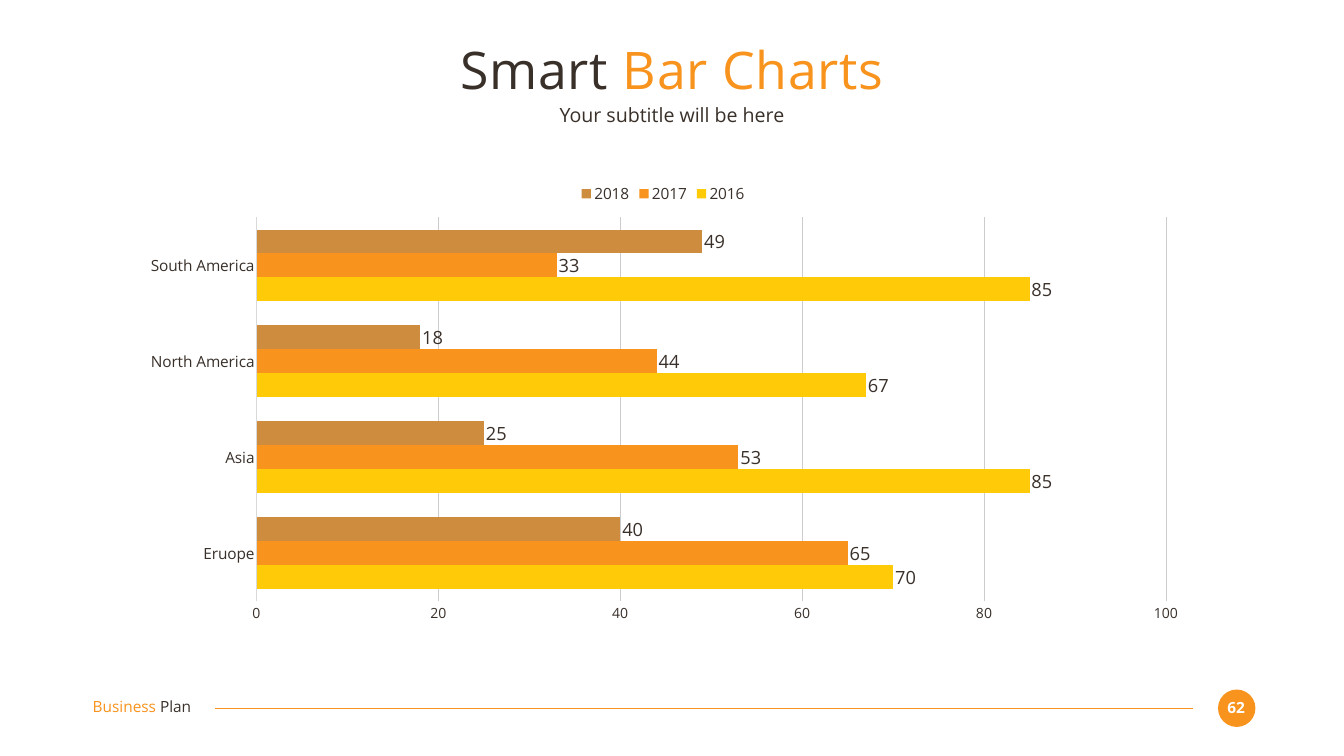
"""Build the Smart Bar Charts slide with a clustered bar chart by region and year."""
from lxml import etree
from pptx import Presentation
from pptx.chart.data import CategoryChartData
from pptx.dml.color import RGBColor
from pptx.enum.chart import XL_CHART_TYPE, XL_LABEL_POSITION, XL_LEGEND_POSITION, XL_TICK_MARK
from pptx.enum.shapes import MSO_CONNECTOR, MSO_SHAPE
from pptx.enum.text import MSO_ANCHOR, MSO_AUTO_SIZE, PP_ALIGN
from pptx.oxml import parse_xml
from pptx.oxml.ns import nsdecls, qn
from pptx.util import Pt

BAR_CLUSTERED = XL_CHART_TYPE.BAR_CLUSTERED
OUTSIDE_END = XL_LABEL_POSITION.OUTSIDE_END
LEGEND_TOP = XL_LEGEND_POSITION.TOP
NO_TICK = XL_TICK_MARK.NONE
STRAIGHT = MSO_CONNECTOR.STRAIGHT
OVAL = MSO_SHAPE.OVAL
TOP, MIDDLE = MSO_ANCHOR.TOP, MSO_ANCHOR.MIDDLE
NO_AUTO_SIZE = MSO_AUTO_SIZE.NONE
LEFT, CENTER = PP_ALIGN.LEFT, PP_ALIGN.CENTER

FONT = "Open Sans"
COLORS = {
    "orange": "F8931D",
    "dark": "39302A",
    "white": "FFFFFF",
    "yellow": "FFCA08",
    "brown": "CE8D3E",
    "axis": "D9D9D9",
    "grid": "CCCCCC",
}


def format_font(font, size, color="dark", bold=False):
    font.name = FONT
    font.size = Pt(size)
    font.bold = bold
    font.color.rgb = RGBColor.from_string(COLORS[color])


def write_text(shape, runs, *, box, size, align=LEFT, anchor=TOP, bold=False, spacing=0):
    shape.left, shape.top, shape.width, shape.height = (Pt(length) for length in box)
    frame = shape.text_frame
    frame.word_wrap = True
    frame.auto_size = NO_AUTO_SIZE
    frame.vertical_anchor = anchor
    frame.margin_left = frame.margin_right = frame.margin_top = frame.margin_bottom = 0
    paragraph = frame.paragraphs[0]
    properties = paragraph._p.get_or_add_pPr()
    properties.set("marL", "0")
    properties.set("indent", "0")
    etree.SubElement(properties, qn("a:buNone"))
    paragraph.alignment = align
    paragraph.space_before = Pt(0)
    for text, color in runs:
        run = paragraph.add_run()
        run.text = text
        format_font(run.font, size, color, bold)
        if spacing:
            run._r.get_or_add_rPr().set("spc", str(spacing * 100))


presentation = Presentation()
presentation.slide_width = Pt(1920)
presentation.slide_height = Pt(1080)
slide = presentation.slides.add_slide(presentation.slide_layouts[1])
shapes = slide.shapes

write_text(shapes.title, [("Smart ", "dark"), ("Bar Charts", "orange")],
           box=(132, 52.5, 1656, 91.5), size=74, align=CENTER, anchor=MIDDLE, spacing=1)
write_text(slide.placeholders[1], [("Your subtitle will be here", "dark")],
           box=(132, 146, 1656, 35.5), size=28, align=CENTER, anchor=MIDDLE)

chart_data = CategoryChartData()
chart_data.categories = ["Eruope", "Asia", "North America", "South America"]
chart_data.add_series("2016", (70, 85, 67, 85))
chart_data.add_series("2017", (65, 53, 44, 33))
chart_data.add_series("2018", (40, 25, 18, 49))
chart = shapes.add_chart(BAR_CLUSTERED, Pt(183), Pt(252.5), Pt(1528.5), Pt(645), chart_data).chart
format_font(chart.font, 22)
chart.has_title = False
chart.has_legend = True
chart.legend.position = LEGEND_TOP
chart.legend.include_in_layout = False
format_font(chart.legend.font, 22)

plot = chart.plots[0]
plot.gap_width = 102
plot.overlap = 0
plot.vary_by_categories = False
for series, color in zip(plot.series, ("yellow", "orange", "brown")):
    series.format.fill.solid()
    series.format.fill.fore_color.rgb = RGBColor.from_string(COLORS[color])
    labels = series.data_labels
    labels.show_value = True
    labels.position = OUTSIDE_END
    format_font(labels.font, 26)

category_axis, value_axis = chart.category_axis, chart.value_axis
for axis, size in ((category_axis, 22), (value_axis, 20)):
    axis.major_tick_mark = axis.minor_tick_mark = NO_TICK
    format_font(axis.tick_labels.font, size)
category_axis.format.line.color.rgb = RGBColor.from_string(COLORS["axis"])
category_axis.format.line.width = Pt(0.75)
value_axis.minimum_scale = 0
value_axis.maximum_scale = 100
value_axis.major_unit = 20
value_axis.format.line.fill.background()
gridline = value_axis.major_gridlines.format.line
gridline.color.rgb = RGBColor.from_string(COLORS["grid"])
gridline.width = Pt(1)

plot_area = chart._chartSpace.find(".//" + qn("c:plotArea"))
plot_area.insert(0, parse_xml(
    f'<c:layout {nsdecls("c")}><c:manualLayout><c:layoutTarget val="inner"/>'
    '<c:xMode val="edge"/><c:yMode val="edge"/><c:x val="0.12"/><c:y val="0.09"/>'
    '<c:w val="0.85"/><c:h val="0.85"/></c:manualLayout></c:layout>'))

footer_line = shapes.add_connector(STRAIGHT, Pt(1704), Pt(1011.5), Pt(307.5), Pt(1011.5))
footer_line.line.color.rgb = RGBColor.from_string(COLORS["orange"])
footer_line.line.width = Pt(1.5)
etree.SubElement(footer_line._element.spPr, qn("a:effectLst"))

write_text(shapes.add_textbox(0, 0, 0, 0), [("Business ", "orange"), ("Plan", "dark")],
           box=(132.5, 996.5, 186.5, 26.5), size=22)

page_circle = shapes.add_shape(OVAL, Pt(1740), Pt(985), Pt(53.5), Pt(53.5))
page_circle.shadow.inherit = False
page_circle.fill.solid()
page_circle.fill.fore_color.rgb = RGBColor.from_string(COLORS["orange"])
page_circle.line.fill.background()
write_text(shapes.add_textbox(0, 0, 0, 0), [("62", "white")],
           box=(1744.5, 997, 42.5, 26.5), size=22, align=CENTER, bold=True)

presentation.save("out.pptx")
